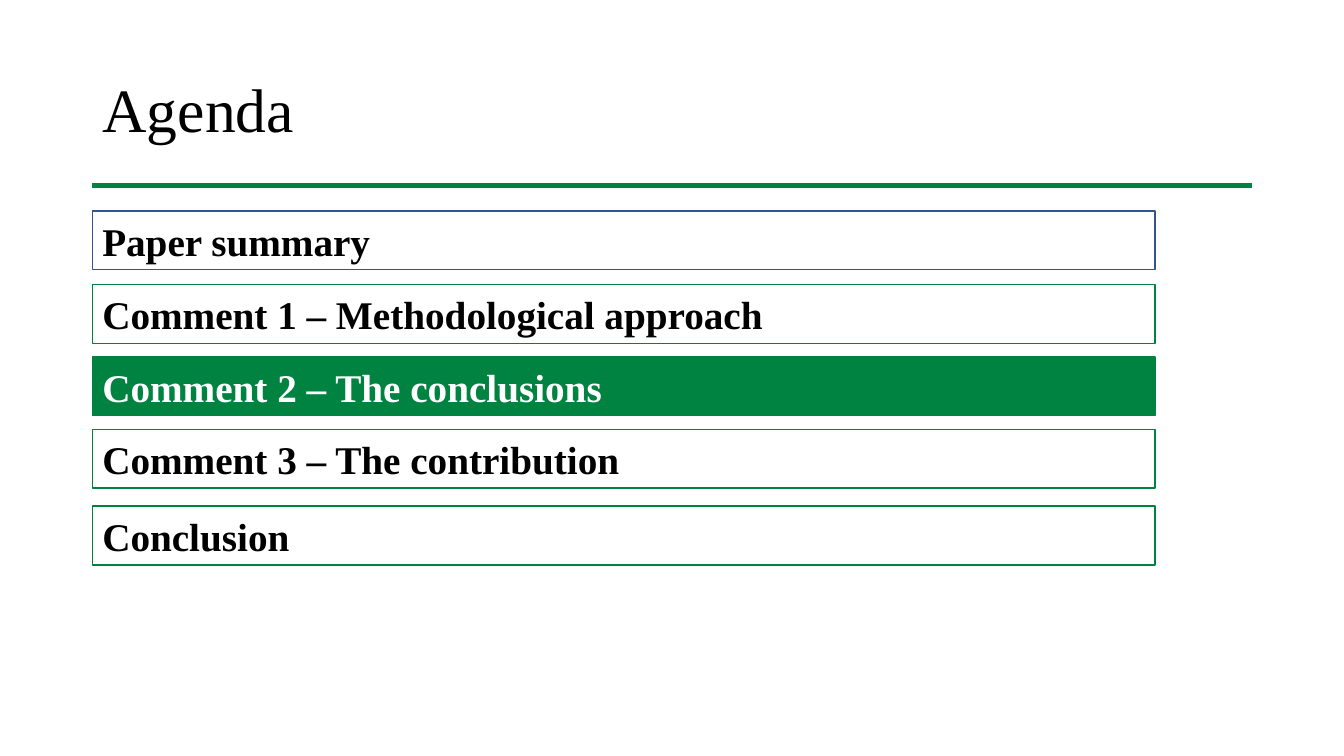
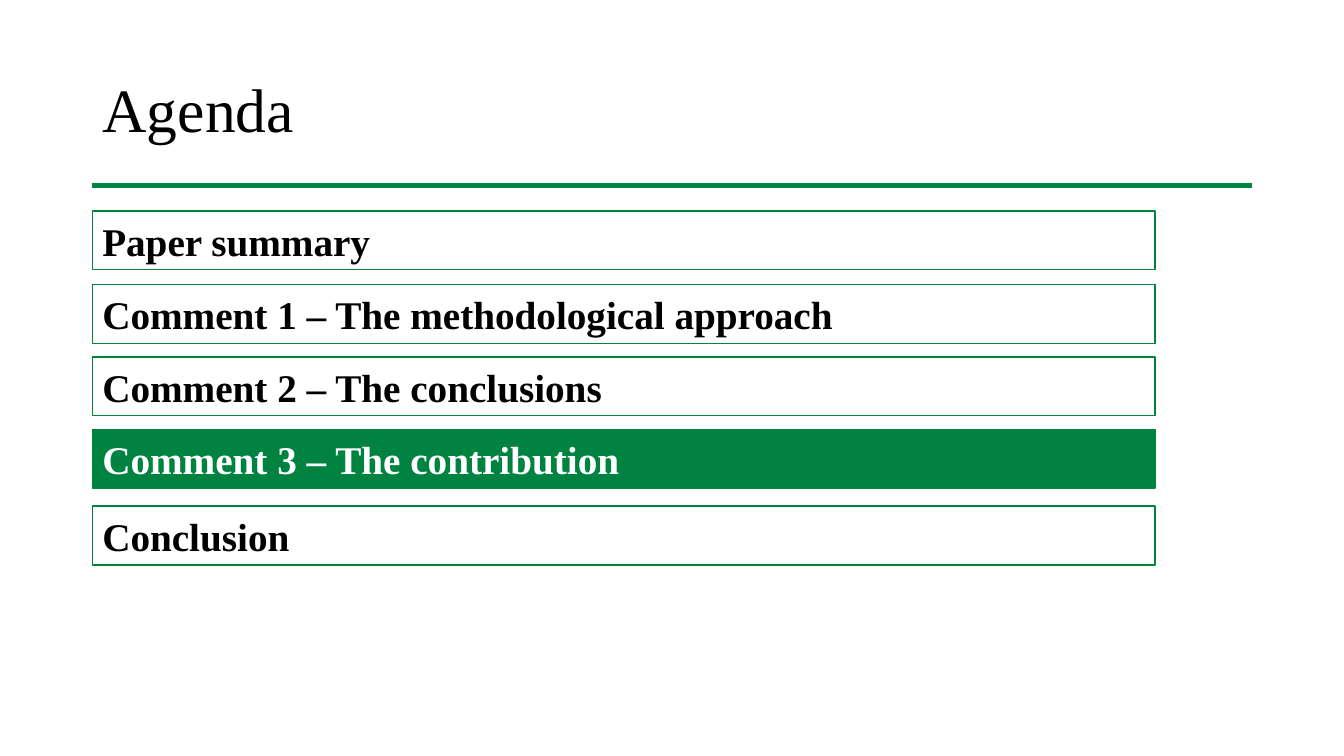
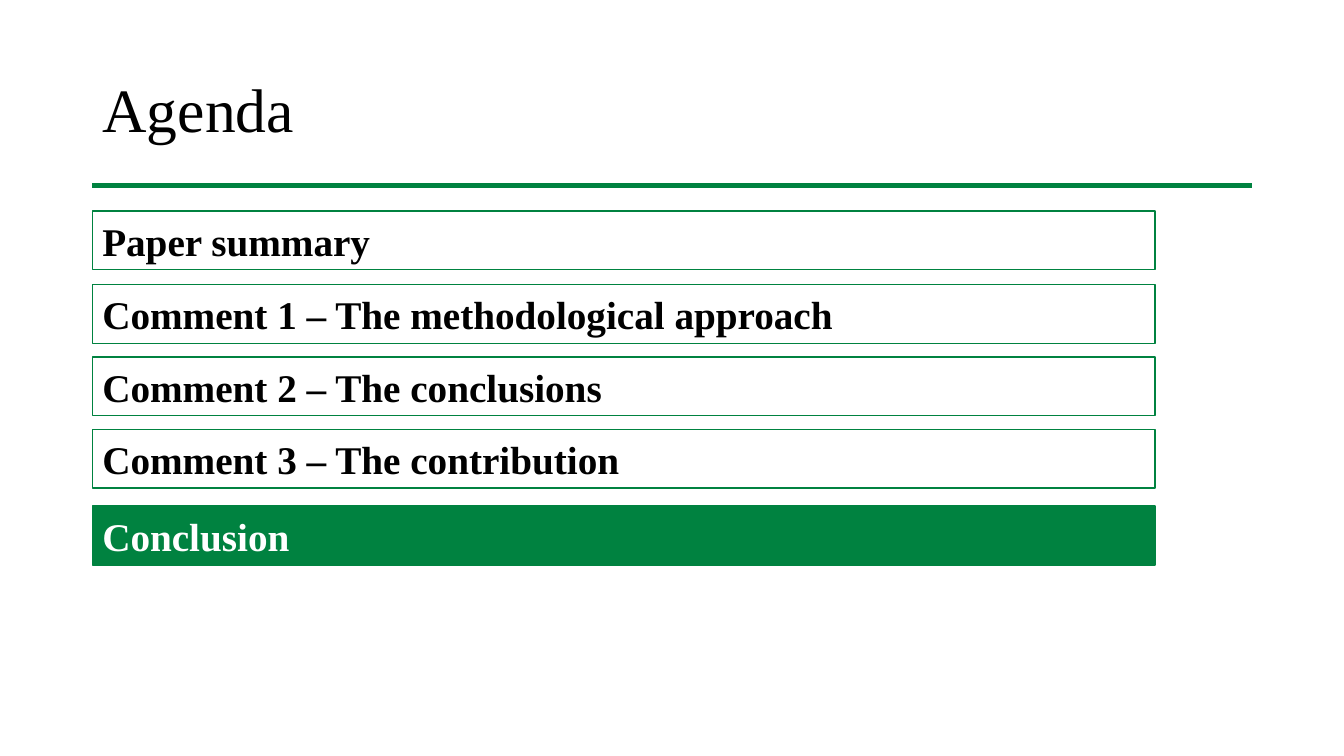
"""Builds three agenda slides, each with one topic marked."""
from lxml import etree
from pptx import Presentation
from pptx.dml.color import RGBColor
from pptx.enum.shapes import MSO_CONNECTOR, MSO_SHAPE
from pptx.enum.text import MSO_ANCHOR, PP_ALIGN
from pptx.oxml.ns import qn
from pptx.util import Pt

RECT, LINE = MSO_SHAPE.RECTANGLE, MSO_CONNECTOR.STRAIGHT
MID, LEFT = MSO_ANCHOR.MIDDLE, PP_ALIGN.LEFT

GREEN, BLUE, BLACK, WHITE = "008240", "325491", "000000", "FFFFFF"
FONT = "Times New Roman"
TITLE = "Agenda"
FIRST, LAST = "Paper summary", "Conclusion"
SHORT = "Comment 1 – Methodological approach"
LONG = "Comment 1 – The methodological approach"
SECOND, THIRD = "Comment 2 – The conclusions", "Comment 3 – The contribution"

SLIDES = [
    {"method": SHORT, "mark": SECOND, "edge": BLUE},
    {"method": LONG, "mark": THIRD, "edge": GREEN},
    {"method": LONG, "mark": LAST, "edge": GREEN},
]

SCALE = 9525
WIDE, HIGH = 1280, 720
SIDE = 88
HEAD = (SIDE, 38, 1104, 139)
RULE = 177
TOPS = (201, 271, 340, 409, 482)
BAR = (1012, 56)


def px(*nums):
    return [n * SCALE for n in nums]


def color(code):
    return RGBColor.from_string(code)


def write(shape, text, size, ink, bold=False):
    frame = shape.text_frame
    frame.word_wrap = True
    frame.vertical_anchor = MID
    para = frame.paragraphs[0]
    para.alignment = LEFT
    run = para.add_run()
    run.text = text
    font = run.font
    font.name, font.size, font.bold = FONT, Pt(size), bold
    font.color.rgb = color(ink)
    return para


def add_head(slide):
    title = slide.shapes.title
    title.left, title.top, title.width, title.height = px(*HEAD)
    write(title, TITLE, 44, BLACK).line_spacing = 0.9
    rule = slide.shapes.add_connector(
        LINE, *px(SIDE, RULE, SIDE + HEAD[2], RULE))
    rule.line.color.rgb = color(GREEN)
    rule.line.width = Pt(3.5)
    etree.SubElement(rule.element.spPr, qn("a:effectLst"))


def add_bar(slide, top, text, edge, marked):
    bar = slide.shapes.add_shape(RECT, *px(SIDE, top, *BAR))
    bar.shadow.inherit = False
    if marked:
        bar.fill.solid()
        bar.fill.fore_color.rgb = color(GREEN)
    else:
        bar.fill.background()
    bar.line.color.rgb = color(edge)
    bar.line.width = Pt(1)
    write(bar, text, 28, WHITE if marked else BLACK, True)


def main():
    deck = Presentation()
    deck.slide_width, deck.slide_height = px(WIDE, HIGH)
    for page in SLIDES:
        slide = deck.slides.add_slide(deck.slide_layouts[5])
        add_head(slide)
        topics = (FIRST, page["method"], SECOND, THIRD, LAST)
        for top, text in zip(TOPS, topics):
            edge = page["edge"] if text == FIRST else GREEN
            add_bar(slide, top, text, edge, text == page["mark"])
    deck.save("out.pptx")


if __name__ == "__main__":
    main()
